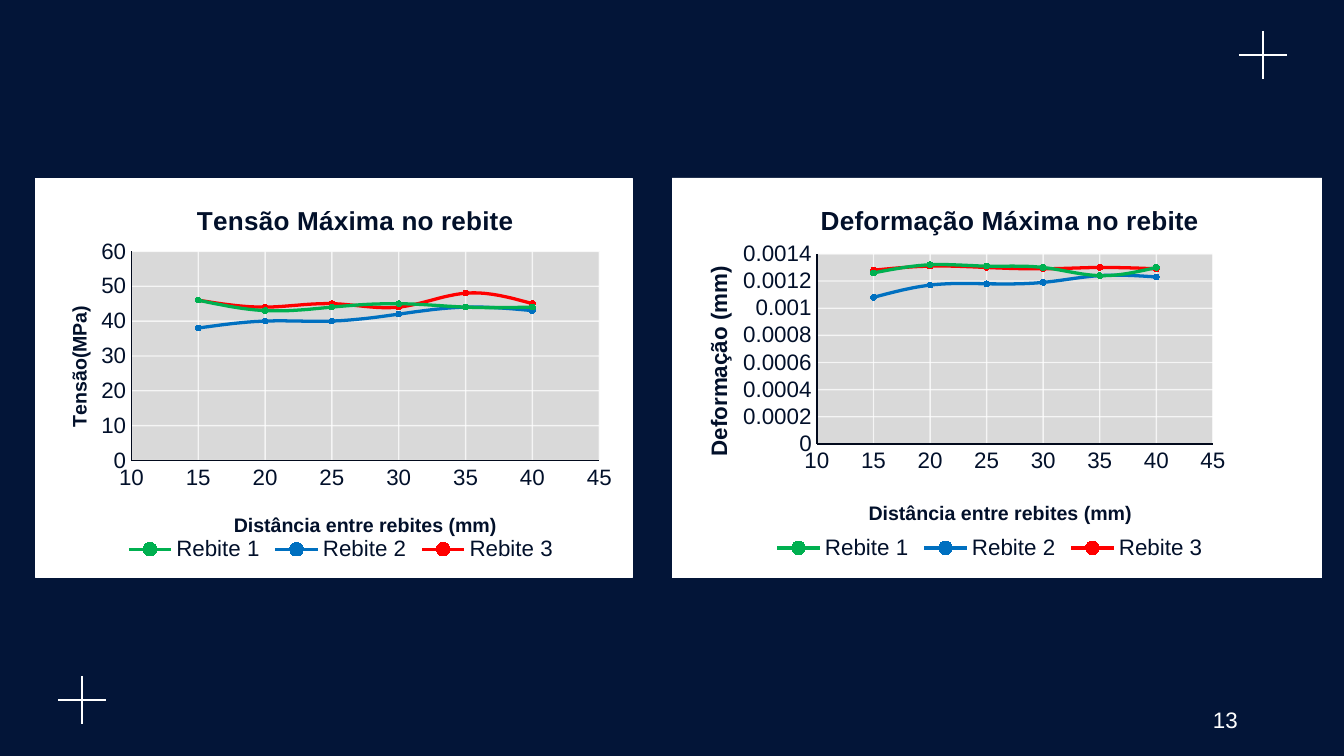
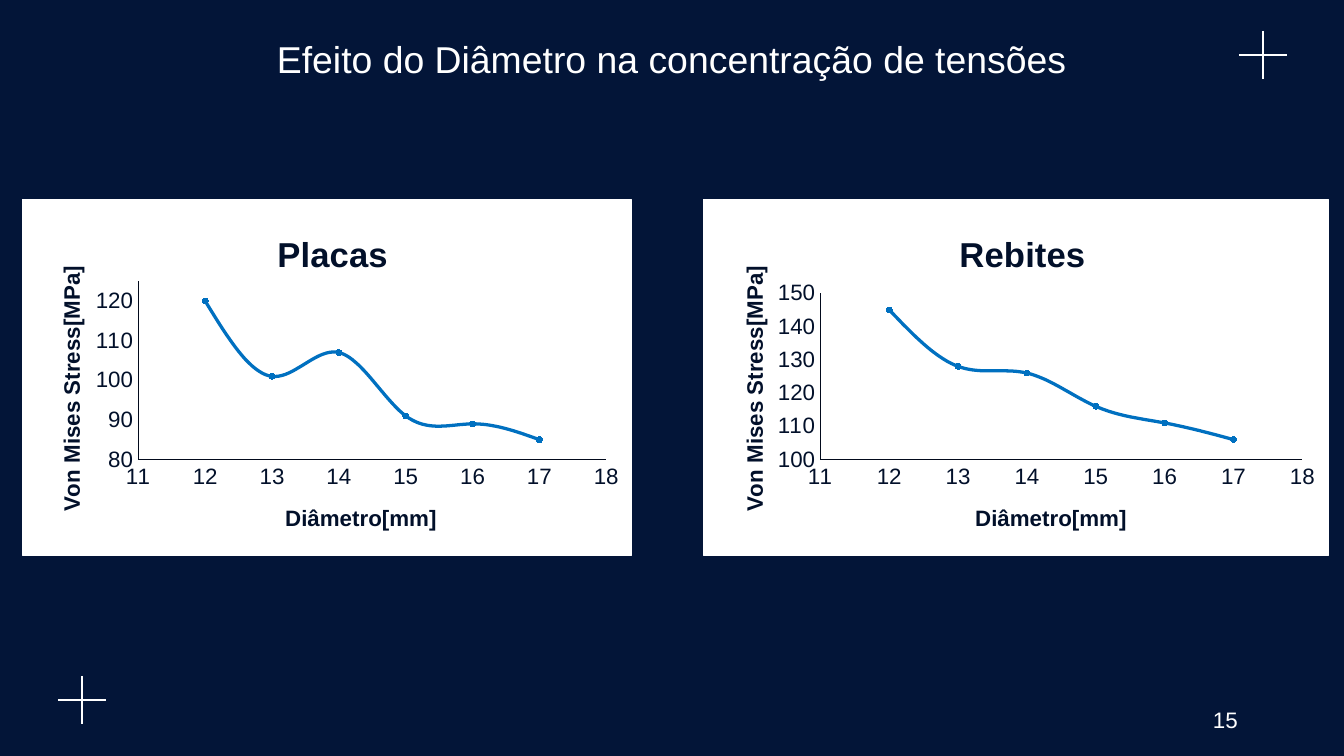
from lxml import etree
from pptx import Presentation
from pptx import util as u
from pptx.chart.data import XyChartData
from pptx.dml.color import RGBColor
from pptx.enum import chart as ch, shapes, text
from pptx.oxml import parse_xml
from pptx.oxml.ns import nsdecls, qn

PX = 914400 / 134.4
FONT = "Arial"
COLORS = {
    "bg": "031538", "white": "FFFFFF", "ink": "02102A", "axis": "020A1C",
    "plot": "D9D9D9", "green": "00B050", "blue": "0070C0", "red": "FF0000",
}
RIVET_COLORS = ("green", "blue", "red")


def px(n):
    return u.Emu(round(n * PX))


def rgb(name):
    return RGBColor.from_string(COLORS[name])


def style_font(font, size, color, bold=False):
    font.name, font.size, font.bold = FONT, u.Pt(size), bold
    font.color.rgb = rgb(color)


def style_line(line, color, width=0.75):
    line.color.rgb = rgb(color)
    line.width = u.Pt(width)


# Shared slide parts
def add_cross(slide, cx, cy, arm=24):
    group = slide.shapes.add_group_shape()
    for dx, dy in ((0, arm), (arm, 0)):
        line = group.shapes.add_connector(
            shapes.MSO_CONNECTOR.STRAIGHT,
            px(cx - dx), px(cy - dy), px(cx + dx), px(cy + dy))
        style_line(line.line, "white")
        etree.SubElement(line._element.spPr, qn("a:effectLst"))


def add_text(slide, box, words, size, align, anchor):
    tf = slide.shapes.add_textbox(*map(px, box)).text_frame
    tf.word_wrap = True
    tf.vertical_anchor = anchor
    p = tf.paragraphs[0]
    p.text, p.alignment = words, align
    style_font(p.font, size, "white")


def add_base(prs, number):
    slide = prs.slides.add_slide(prs.slide_layouts[6])
    slide.background.fill.solid()
    slide.background.fill.fore_color.rgb = rgb("bg")
    add_cross(slide, 1263, 55)
    add_cross(slide, 82, 700)
    add_text(slide, (949, 700, 302, 40), number, 12,
             text.PP_ALIGN.RIGHT, text.MSO_ANCHOR.MIDDLE)
    return slide


# Chart parts
def place(element, card, box):
    """Put a chart part at a px box measured from the card's corner."""
    for old in element.findall(qn("c:layout")):
        element.remove(old)
    inner = element.tag == qn("c:plotArea")
    modes = '<c:layoutTarget val="inner"/>' if inner else ""
    modes += '<c:xMode val="edge"/><c:yMode val="edge"/>'
    sizes = (card[2], card[3]) * 2
    for key, n, whole in zip("xywh", box, sizes):
        modes += f'<c:{key} val="{n / whole:.4f}"/>'
    layout = parse_xml(f'<c:layout {nsdecls("c")}><c:manualLayout>{modes}'
                       '</c:manualLayout></c:layout>')
    element.insert(0 if inner else 1, layout)


def fill_xml(fill, border=None):
    line = (f'<a:ln w="9525"><a:solidFill><a:srgbClr val="{COLORS[border]}"/>'
            '</a:solidFill></a:ln>' if border else '<a:ln><a:noFill/></a:ln>')
    return parse_xml(f'<c:spPr {nsdecls("c", "a")}><a:solidFill>'
                     f'<a:srgbClr val="{COLORS[fill]}"/></a:solidFill>{line}</c:spPr>')


def set_title(title, card, words, size, at):
    p = title.text_frame.paragraphs[0]
    p.text = words
    style_font(p.font, size, "ink", bold=True)
    place(title._element, card, at)


def style_axis(axis, card, scale, title):
    axis.minimum_scale, axis.maximum_scale, axis.major_unit = scale
    axis.major_tick_mark = axis.minor_tick_mark = ch.XL_TICK_MARK.NONE
    axis.tick_labels.number_format = "General"
    axis.tick_labels.number_format_is_linked = False
    style_font(axis.tick_labels.font, 12, "ink")
    style_line(axis.format.line, "axis")
    axis.has_major_gridlines = True
    style_line(axis.major_gridlines.format.line, "white")
    set_title(axis.axis_title, card, *title)


def add_curves(slide, card, plot, title, x_title, y_title, x_scale, y_scale,
               xs, curves, colors, plot_fill=None, border="white", legend=None):
    data = XyChartData()
    for name, ys in curves.items():
        series = data.add_series(name)
        for x, y in zip(xs, ys):
            series.add_data_point(x, y)
    chart = slide.shapes.add_chart(ch.XL_CHART_TYPE.XY_SCATTER_SMOOTH,
                                   *map(px, card), data).chart
    root = chart.element
    style_font(chart.font, 10, "white")
    root.find(qn("c:chart")).addnext(fill_xml("white", border))

    # Titles and axes
    chart.has_title = True
    set_title(chart.chart_title, card, *title)
    style_axis(chart.category_axis, card, x_scale, x_title)
    style_axis(chart.value_axis, card, y_scale, y_title)
    for color in root.xpath(".//c:majorGridlines//a:srgbClr"):
        etree.SubElement(color, qn("a:alpha")).set("val", "75000")

    # Plot area and curves
    area = root.xpath(".//c:plotArea")[0]
    place(area, card, plot)
    if plot_fill:
        area.append(fill_xml(plot_fill))
    chart.plots[0].vary_by_categories = False
    for series, color in zip(chart.plots[0].series, colors):
        style_line(series.format.line, color, 1.75)
        marker = series.marker
        marker.style, marker.size = ch.XL_MARKER_STYLE.CIRCLE, 3
        marker.format.fill.solid()
        marker.format.fill.fore_color.rgb = rgb(color)
        style_line(marker.format.line, color)
    for smooth in root.xpath(".//c:smooth"):
        smooth.set("val", "1")

    # Legend
    chart.has_legend = legend is not None
    if legend:
        chart.legend.position = ch.XL_LEGEND_POSITION.TOP
        chart.legend.include_in_layout = False
        style_font(chart.legend.font, 12, "ink")
        place(root.xpath(".//c:legend")[0], card, legend)


def rivets(*rows):
    return {f"Rebite {i}": row for i, row in enumerate(rows, 1)}


# Slide types
def rivet_spacing_slide(prs):
    slide = add_base(prs, "13")
    shared = dict(xs=range(15, 41, 5), x_scale=(10, 45, 5),
                  colors=RIVET_COLORS, plot_fill="plot")
    x_label = "Distância entre rebites (mm)"
    add_curves(
        slide, (35, 178, 598, 400), (96, 73, 469, 210),
        ("Tensão Máxima no rebite", 14, (157, 20)),
        (x_label, 10.5, (195, 331)),
        ("Tensão(MPa)", 10.5, (27, 124)),
        y_scale=(0, 60, 10), legend=(85, 358, 442, 28),
        curves=rivets((46, 43, 44, 45, 44, 44),
                      (38, 40, 40, 42, 44, 43),
                      (46, 44, 45, 44, 48, 45)), **shared)
    add_curves(
        slide, (672, 178, 650, 400), (145, 76, 396, 190),
        ("Deformação Máxima no rebite", 14, (144, 21)),
        (x_label, 10.5, (193, 318)),
        ("Deformação (mm)", 12, (29, 84)),
        y_scale=(0, 0.0014, 0.0002), legend=(97, 356, 442, 28), border=None,
        curves=rivets((0.00126, 0.00132, 0.00131, 0.0013, 0.00124, 0.0013),
                      (0.00108, 0.00117, 0.00118, 0.00119, 0.00124, 0.00123),
                      (0.00128, 0.00131, 0.0013, 0.00129, 0.0013, 0.00129)),
        **shared)


def diameter_slide(prs):
    slide = add_base(prs, "15")
    charts = (
        ("Placas", (22, 199, 610, 357), (116, 82, 469, 179), 249, 259, 31,
         (80, 125, 10), (120, 101, 107, 91, 89, 85)),
        ("Rebites", (703, 199, 626, 357), (117, 94, 483, 167), 250, 268, 33,
         (100, 150, 10), (145, 128, 126, 116, 111, 106)),
    )
    for name, card, plot, title_x, x_label_x, y_label_x, y_scale, stress in charts:
        add_curves(
            slide, card, plot,
            (name, 18.6, (title_x, 25)),
            ("Diâmetro[mm]", 12, (x_label_x, 302)),
            ("Von Mises Stress[MPa]", 12, (y_label_x, 63)),
            x_scale=(11, 18, 1), y_scale=y_scale, xs=range(12, 18),
            curves={"Series 1": stress}, colors=("blue",))
    add_text(slide, (66, 30, 1212, 59),
             "Efeito do Diâmetro na concentração de tensões", 20,
             text.PP_ALIGN.CENTER, text.MSO_ANCHOR.TOP)


def main():
    prs = Presentation()
    prs.slide_width, prs.slide_height = px(1344), px(756)
    rivet_spacing_slide(prs)
    diameter_slide(prs)
    prs.save("out.pptx")


if __name__ == "__main__":
    main()
